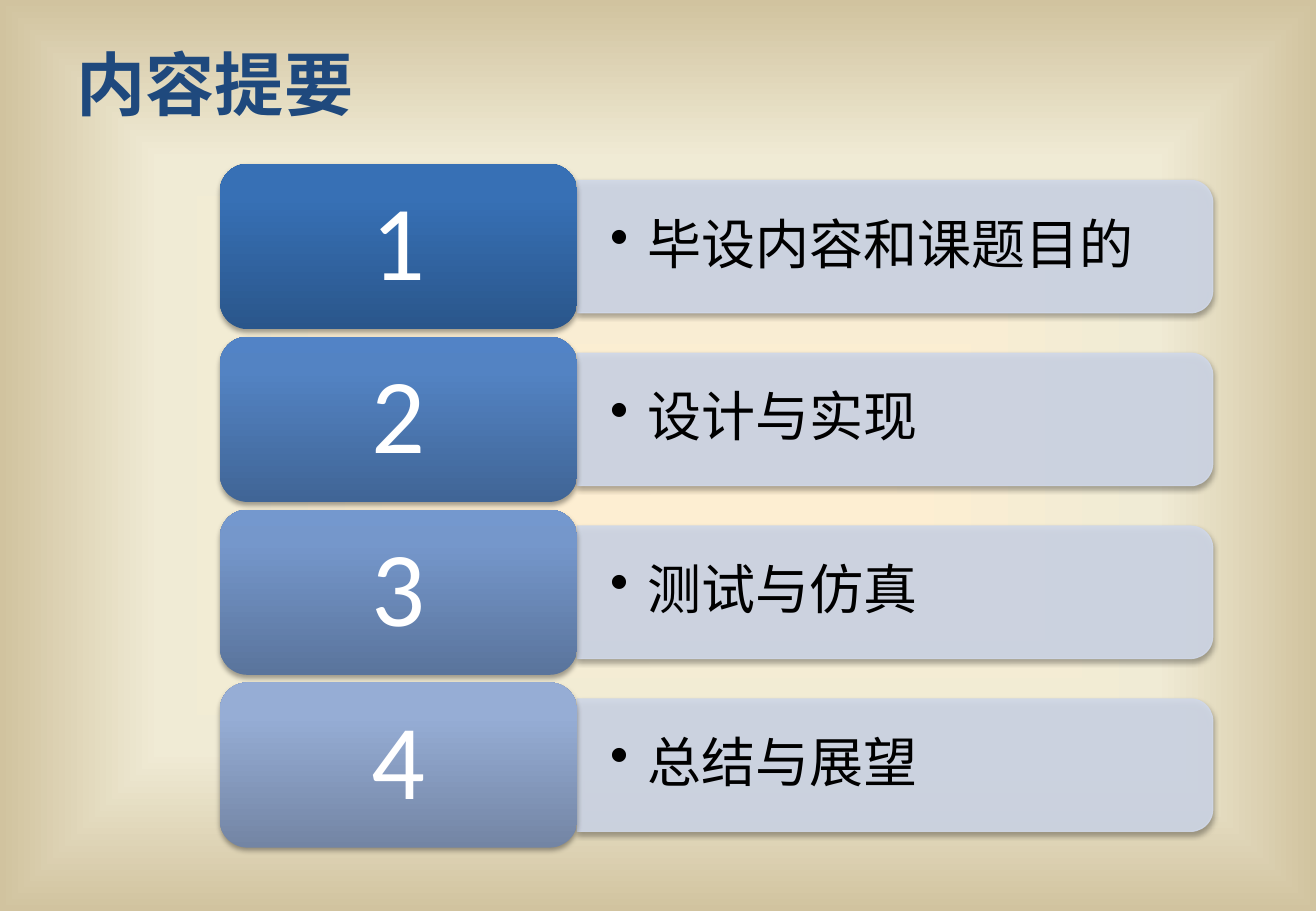
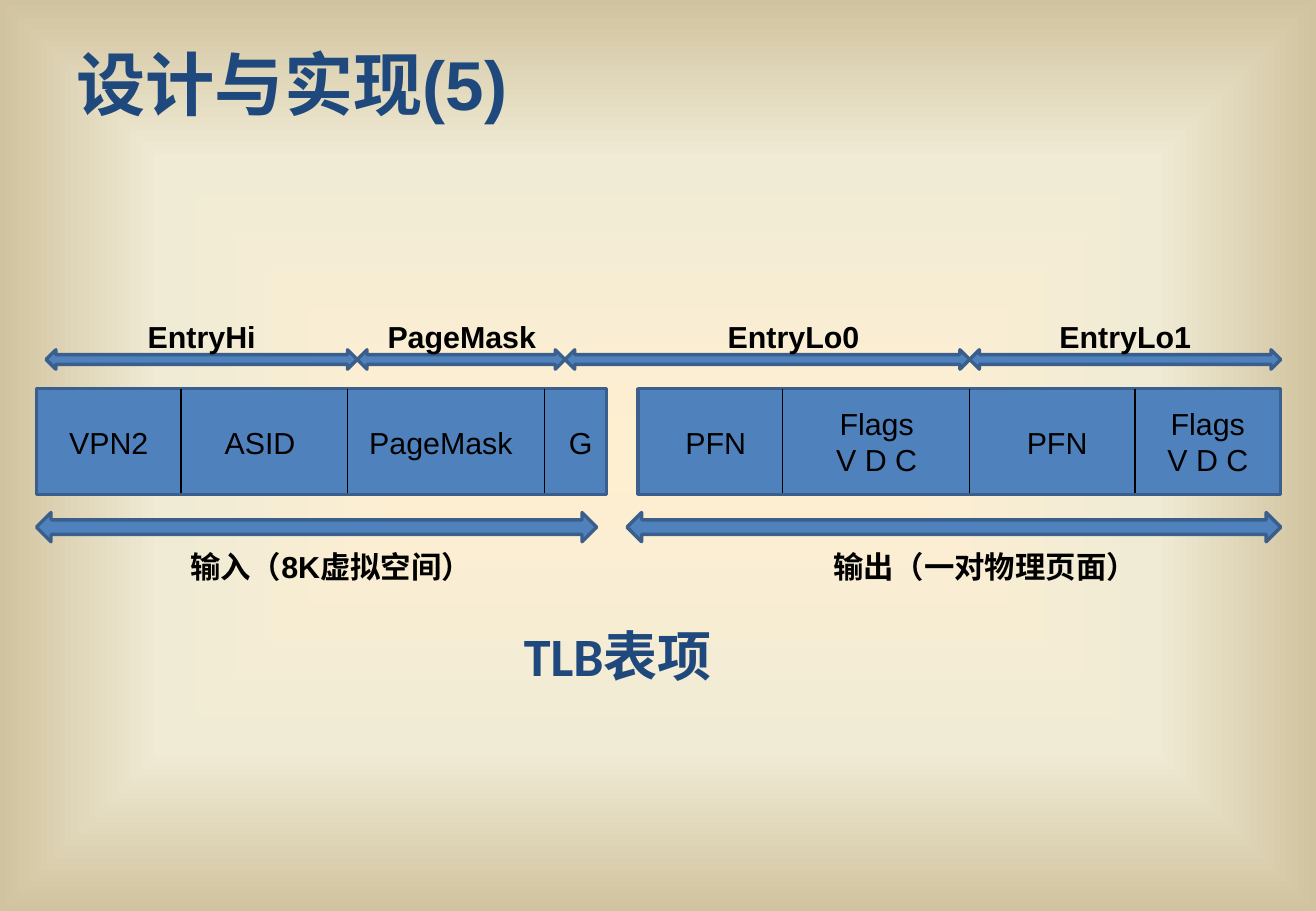
import dataclasses
import typing

import pptx
import pptx.dml.color
import pptx.enum.shapes
import pptx.enum.text
import pptx.oxml
import pptx.oxml.ns
import pptx.util

Inches = pptx.util.Inches
Pt = pptx.util.Pt
Kind = pptx.enum.shapes.MSO_SHAPE
Align = pptx.enum.text.PP_ALIGN
Anchor = pptx.enum.text.MSO_ANCHOR
qn = pptx.oxml.ns.qn
NS = pptx.oxml.ns.nsdecls("a")

# Shared look
HUE = {
    "navy": "1F497D", "blue": "4F81BD", "edge": "3A5F8C", "pale": "D0D8E8",
    "black": "000000", "white": "FFFFFF",
}
GLOW = [(0, "FFEFD1"), (65, "F0EBD5"), (100, "D1C39F")]
TITLE = {"size": Pt(41), "bold": True}
PLAIN = {"size": Pt(18), "name": "Arial", "bold": False}
BOLD = {**PLAIN, "bold": True}
TOPIC = {"size": Pt(32), "name": "Calibri"}
DIGIT = {"size": Pt(63), "name": "Calibri"}
NOTE = {**TOPIC, "bold": True}


class Box(typing.NamedTuple):
    left: float
    top: float
    width: float
    height: float

    def inches(self) -> list:
        return [Inches(n) for n in self]


@dataclasses.dataclass
class Step:
    text: str
    stops: list


@dataclasses.dataclass
class Label:
    text: str
    box: Box
    look: dict
    align: Align = Align.CENTER


@dataclasses.dataclass
class Span:
    left: float
    right: float
    top: float
    height: float


def rgb(name: str) -> pptx.dml.color.RGBColor:
    return pptx.dml.color.RGBColor.from_string(HUE[name])


def apply(thing: typing.Any, look: dict) -> None:
    for key, value in look.items():
        setattr(thing, key, value)


def blend(props: typing.Any, stops: list, shade: str) -> None:
    """Swap the solid fill in props for a gradient."""
    marks = "".join(f'<a:gs pos="{at * 1000}"><a:srgbClr val="{hue}"/></a:gs>'
                    for at, hue in stops)
    fill = pptx.oxml.parse_xml(
        f"<a:gradFill {NS}><a:gsLst>{marks}</a:gsLst>{shade}</a:gradFill>")
    props.replace(props.find(qn("a:solidFill")), fill)


def write(par: typing.Any, text: str, look: dict, hue: str) -> None:
    run = par.add_run()
    run.text = text
    apply(run.font, look)
    run.font.color.rgb = rgb(hue)


def add_text(slide: typing.Any, label: Label, hue: str = "black") -> typing.Any:
    frame = slide.shapes.add_textbox(*label.box.inches()).text_frame
    frame.word_wrap = True
    for num, line in enumerate(label.text.split("\n")):
        par = frame.add_paragraph() if num else frame.paragraphs[0]
        par.alignment = label.align
        write(par, line, label.look, hue)
    return frame


def add_block(slide: typing.Any, kind: Kind, box: Box, fill: str = "blue",
              edge: str = "edge", width: float = 2) -> typing.Any:
    shape = slide.shapes.add_shape(kind, *box.inches())
    shape.shadow.inherit = False
    shape.fill.solid()
    shape.fill.fore_color.rgb = rgb(fill)
    shape.line.color.rgb = rgb(edge)
    shape.line.width = Pt(width)
    return shape


def add_shade(shape: typing.Any) -> None:
    shape.element.spPr.find(qn("a:effectLst")).append(pptx.oxml.parse_xml(
        f'<a:outerShdw {NS} blurRad="{Pt(3.1)}" dist="{Pt(1.8)}" dir="5400000" '
        'rotWithShape="0"><a:srgbClr val="000000"><a:alpha val="35000"/>'
        "</a:srgbClr></a:outerShdw>"))


def add_rule(slide: typing.Any, left: float, top: float, end: float) -> None:
    rule = slide.shapes.add_connector(
        pptx.enum.shapes.MSO_CONNECTOR.STRAIGHT,
        Inches(left), Inches(top), Inches(left), Inches(end))
    rule.line.color.rgb = rgb("black")
    rule.line.width = Pt(0.75)
    rule.element.spPr.append(pptx.oxml.parse_xml(f"<a:effectLst {NS}/>"))


def new_slide(deck: typing.Any, runs: list) -> typing.Any:
    slide = deck.slides.add_slide(deck.slide_layouts[5])
    title = slide.shapes.title
    place = dict(zip(("left", "top", "width", "height"),
                     Box(0.53, 0.29, 9.21, 0.79).inches()))
    apply(title, place)
    frame = title.text_frame
    apply(frame, {"vertical_anchor": Anchor.TOP, "word_wrap": True,
                  "auto_size": pptx.enum.text.MSO_AUTO_SIZE.NONE})
    frame.paragraphs[0].alignment = Align.LEFT
    for text, font in runs:
        write(frame.paragraphs[0], text, {**TITLE, "name": font}, "navy")
    return slide


def add_step(slide: typing.Any, num: int, step: Step) -> None:
    card = Box(1.81, 1.35 + 1.423 * num, 2.94, 1.36)
    mid = card.top + card.height / 2
    edge = card.left + card.width

    # Panel, turned so that its round corners face right
    long, short = 5.23, 1.09
    panel = add_block(slide, Kind.ROUND_2_SAME_RECTANGLE,
                      Box(edge + (long - short) / 2, mid - long / 2, short, long),
                      "pale", "pale", 0.75)
    panel.rotation = 90
    for tint in panel.element.spPr.iter(qn("a:srgbClr")):
        tint.append(pptx.oxml.parse_xml(f'<a:alpha {NS} val="90000"/>'))
    add_shade(panel)

    # Topic with its bullet
    frame = add_text(slide, Label(step.text, Box(edge, mid - 0.49, 5.18, 0.98),
                                  TOPIC, Align.LEFT))
    apply(frame, {"vertical_anchor": Anchor.MIDDLE,
                  "margin_left": Inches(0.27), "margin_right": Inches(0.27),
                  "margin_top": Inches(0.14), "margin_bottom": Inches(0.14)})
    par = frame.paragraphs[0]
    par.line_spacing = 0.9
    props = par._p.get_or_add_pPr()
    props.set("marL", str(Inches(0.31)))
    props.set("indent", str(Inches(-0.31)))
    props.append(pptx.oxml.parse_xml(f'<a:buChar {NS} char="•"/>'))

    # Numbered card
    shape = add_block(slide, Kind.ROUNDED_RECTANGLE, card)
    blend(shape.element.spPr, step.stops, '<a:lin ang="16200000" scaled="0"/>')
    shape.line.fill.background()
    add_shade(shape)
    frame = shape.text_frame
    frame.vertical_anchor = Anchor.MIDDLE
    par = frame.paragraphs[0]
    apply(par, {"alignment": Align.CENTER, "line_spacing": 0.9})
    write(par, str(num + 1), DIGIT, "white")


deck = pptx.Presentation()
deck.slide_width, deck.slide_height = Inches(10.83), Inches(7.5)

# Backdrop on the master
master = deck.slide_master
master.background.fill.solid()
blend(master.element.cSld.find(qn("p:bg")).find(qn("p:bgPr")), GLOW,
      '<a:path path="shape"><a:fillToRect l="50000" t="50000" r="50000" '
      'b="50000"/></a:path>')

# Slide 1: outline
slide = new_slide(deck, [("内容提要", "Arial")])
STEPS = [
    Step("毕设内容和课题目的", [(0, "2A568B"), (80, "3770B5"), (100, "3570B8")]),
    Step("设计与实现", [(0, "406596"), (80, "5383C3"), (100, "5283C6")]),
    Step("测试与仿真", [(0, "5A749C"), (80, "7597CB"), (100, "7498CE")]),
    Step("总结与展望", [(0, "7385A4"), (80, "96ADD5"), (100, "95ADD7")]),
]
for num, step in enumerate(STEPS):
    add_step(slide, num, step)

# Slide 2: fields of a TLB entry
slide = new_slide(deck, [("设计与实现", "Calibri"), ("(5)", "Arial")])
for left, width in [(0.3, 4.69), (5.25, 5.29)]:
    add_block(slide, Kind.RECTANGLE, Box(left, 3.2, width, 0.87))
for left in (1.49, 2.86, 4.48, 6.44, 7.98, 9.34):
    add_rule(slide, left, 3.2, 4.06)

# Arrows: registers above, input and output below
STOPS = [0.38, 2.94, 4.65, 7.98, 10.54]
SPANS = [Span(left, right, 2.88, 0.16) for left, right in zip(STOPS, STOPS[1:])]
SPANS += [Span(0.3, 4.91, 4.22, 0.24), Span(5.16, 10.54, 4.22, 0.24)]
for span in SPANS:
    add_block(slide, Kind.LEFT_RIGHT_ARROW,
              Box(span.left, span.top, span.right - span.left, span.height))

# Labels
FIELDS = [
    ("VPN2", 0.47, 0.94, Align.LEFT), ("ASID", 1.75, 0.94, Align.LEFT),
    ("PageMask", 2.94, 1.53, Align.LEFT), ("G", 4.31, 0.94, Align.CENTER),
    ("PFN", 5.42, 0.94, Align.CENTER), ("Flags\nV D C", 6.7, 1.03, Align.CENTER),
    ("PFN", 8.23, 0.94, Align.CENTER), ("Flags\nV D C", 9.43, 1.02, Align.CENTER),
]
HEADS = [("EntryHi", 0.55), ("PageMask", 2.69), ("EntryLo0", 5.42), ("EntryLo1", 8.15)]
ENDS = [("输入（8K虚拟空间）", 0.55), ("输出（一对物理页面）", 5.93)]
labels = []
for text, left, width, align in FIELDS:
    high = 0.71 if "\n" in text else 0.4
    labels.append(Label(text, Box(left, 3.64 - high / 2, width, high), PLAIN, align))
labels += [Label(text, Box(left, 2.57, 2.22, 0.4), BOLD) for text, left in HEADS]
labels += [Label(text, Box(left, 4.46, 4.35, 0.4), BOLD) for text, left in ENDS]
for label in labels:
    add_text(slide, label)
add_text(slide, Label("TLB表项", Box(3.08, 5.08, 4.01, 0.64), NOTE), "navy")

deck.save("out.pptx")
